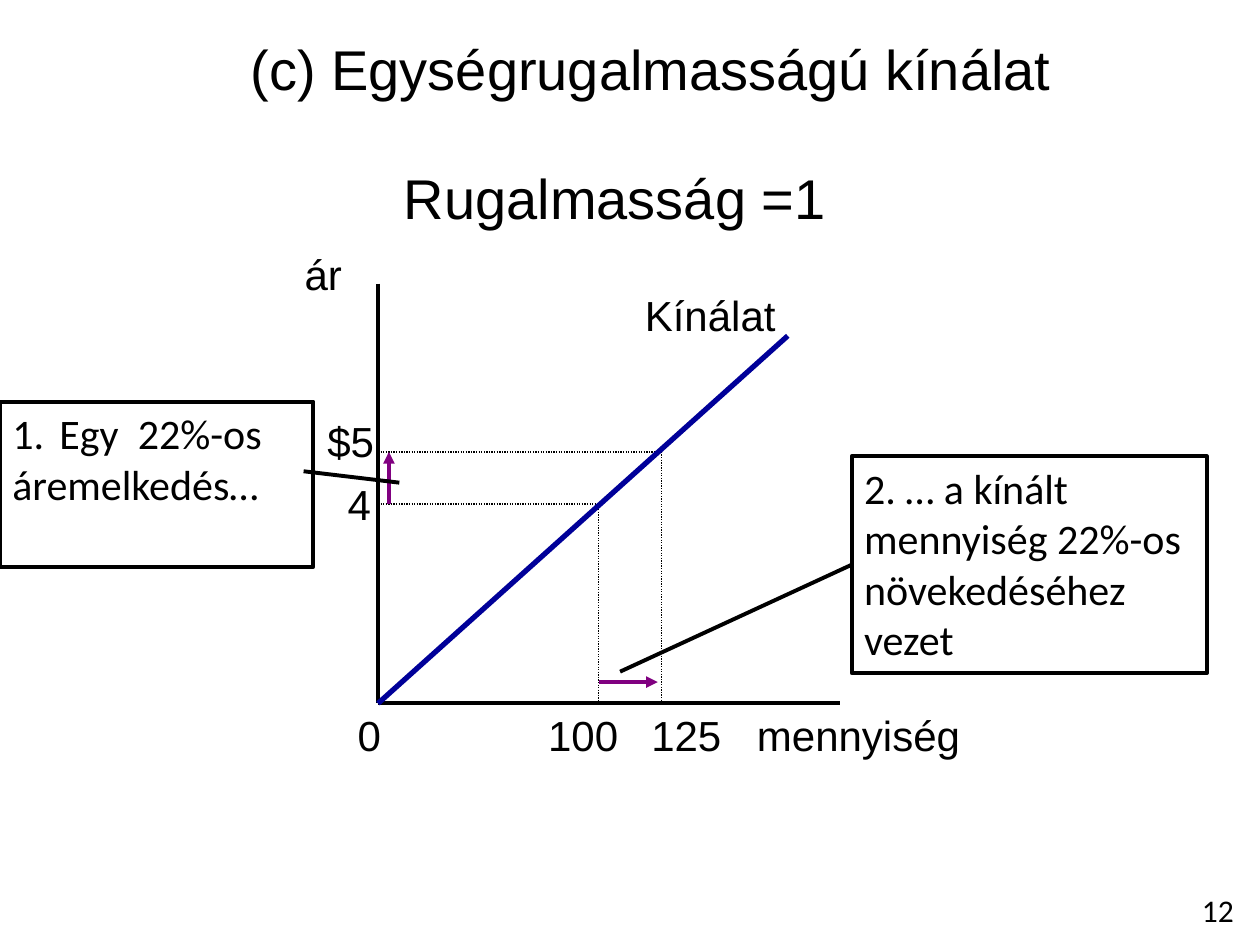
import dataclasses

import pptx
import pptx.dml.color
import pptx.enum.dml
import pptx.enum.shapes
import pptx.enum.text
import pptx.oxml
import pptx.oxml.ns
import pptx.util

Cm = pptx.util.Cm
Pt = pptx.util.Pt
RGB = pptx.dml.color.RGBColor.from_string
ALIGN = pptx.enum.text.PP_ALIGN


@dataclasses.dataclass(frozen=True)
class Theme:
    ink: str = "000000"
    supply: str = "000099"
    change: str = "800080"
    graph_font: str = "Arial"
    note_font: str = "Calibri"
    heading: int = 32
    label: int = 24
    page: int = 18


theme = Theme()


def write(shape, text, font, size, align=ALIGN.LEFT, wrap=True):
    frame = shape.text_frame
    frame.text = text
    frame.word_wrap = wrap
    frame.vertical_anchor = pptx.enum.text.MSO_ANCHOR.TOP
    for paragraph in frame.paragraphs:
        paragraph.alignment = align
        for run in paragraph.runs:
            run.font.name = font
            run.font.size = Pt(size)
            run.font.color.rgb = RGB(theme.ink)


def draw_line(start, end, color=theme.ink, width=2.25, dotted=False, arrow=False):
    connector = slide.shapes.add_connector(
        pptx.enum.shapes.MSO_CONNECTOR.STRAIGHT,
        *(Cm(value) for value in (*start, *end)))
    connector.line.color.rgb = RGB(color)
    connector.line.width = Pt(width)
    if dotted:
        connector.line.dash_style = pptx.enum.dml.MSO_LINE.ROUND_DOT
    properties = connector.element.spPr
    if arrow:
        outline = properties.find(pptx.oxml.ns.qn("a:ln"))
        outline.append(pptx.oxml.parse_xml(
            f'<a:tailEnd {pptx.oxml.ns.nsdecls("a")} type="triangle"/>'))
    properties.append(pptx.oxml.parse_xml(
        f'<a:effectLst {pptx.oxml.ns.nsdecls("a")}/>'))
    return connector


presentation = pptx.Presentation()
presentation.slide_width = Cm(25.4)
presentation.slide_height = Cm(19.05)
slide = presentation.slides.add_slide(presentation.slide_layouts[5])

# Title
title = slide.shapes.title
title.left, title.top, title.width, title.height = Cm(0.85), Cm(0.64), Cm(24.55), Cm(1.48)
write(title, "(c) Egységrugalmasságú kínálat", theme.graph_font, theme.heading, ALIGN.CENTER)
title.text_frame.vertical_anchor = pptx.enum.text.MSO_ANCHOR.MIDDLE

# Subtitle and page number
for text, box, font, size in (
    ("Rugalmasság =1", (7.85, 3.18, 9.1, 1.62), theme.graph_font, theme.heading),
    ("12", (23.7, 17.83, 1.7, 1.02), theme.note_font, theme.page),
):
    textbox = slide.shapes.add_textbox(*(Cm(value) for value in box))
    write(textbox, text, font, size, ALIGN.CENTER)

# Graph positions
origin_x, origin_y = 7.62, 14.18
old_quantity, new_quantity = 12.07, 13.34
old_price, new_price = 10.16, 9.11

# Axes
draw_line((origin_x, 5.72), (origin_x, origin_y))
draw_line((origin_x, origin_y), (16.93, origin_y))

# Dotted guides from each point on the curve to both axes
for quantity, price in ((old_quantity, old_price), (new_quantity, new_price)):
    draw_line((origin_x, price), (quantity, price), width=0.75, dotted=True)
    draw_line((quantity, price), (quantity, origin_y), width=0.75, dotted=True)

# Supply curve
draw_line((origin_x, origin_y), (15.88, 6.77), theme.supply, 3)

# Price and quantity changes
draw_line((7.84, old_price), (7.84, new_price), theme.change, arrow=True)
draw_line((old_quantity, 13.75), (13.26, 13.75), theme.change, arrow=True)

# Graph labels
for text, left, top, width in (
    ("ár", 5.89, 4.88, 1.5),
    ("Kínálat", 12.75, 5.72, 3.18),
    ("$5", 6.35, 8.26, 1.47),
    ("4", 6.76, 9.53, 0.99),
    ("0", 6.96, origin_y, 0.99),
    ("100", 10.8, origin_y, 1.93),
    ("125", 12.88, origin_y, 1.93),
    ("mennyiség", 15.01, origin_y, 4.9),
):
    label = slide.shapes.add_textbox(Cm(left), Cm(top), Cm(width), Cm(1.28))
    write(label, text, theme.graph_font, theme.label, wrap=False)
    label.text_frame.auto_size = pptx.enum.text.MSO_AUTO_SIZE.SHAPE_TO_FIT_TEXT

# Callout boxes
callouts = []
for text, box in (
    ("Egy  22%-os\náremelkedés…", (0, 8.1, 6.32, 3.33)),
    ("2. … a kínált\nmennyiség 22%-os\nnövekedéséhez\nvezet", (17.17, 9.2, 7.16, 4.37)),
):
    callout = slide.shapes.add_shape(
        pptx.enum.shapes.MSO_SHAPE.RECTANGLE, *(Cm(value) for value in box))
    callout.shadow.inherit = False
    callout.fill.background()
    callout.line.color.rgb = RGB(theme.ink)
    callout.line.width = Pt(2.25)
    write(callout, text, theme.note_font, theme.label)
    callouts.append(callout)
price_callout, quantity_callout = callouts

# Automatic number on the first callout line
numbered = price_callout.text_frame.paragraphs[0].runs[0].font
paragraph_properties = price_callout.text_frame.paragraphs[0]._p.get_or_add_pPr()
paragraph_properties.set("marL", str(Cm(0.95)))
paragraph_properties.set("indent", str(-Cm(0.95)))
for bullet in ('<a:buFont {} typeface="+mj-lt"/>', '<a:buAutoNum {} type="arabicPeriod"/>'):
    paragraph_properties.append(
        pptx.oxml.parse_xml(bullet.format(pptx.oxml.ns.nsdecls("a"))))

# Callout pointers
draw_line((8.05, 9.73), (6.12, 9.5))
pointer = draw_line((12.5, 13.54), (17.17, 11.38))
pointer.end_connect(quantity_callout, 1)

presentation.save("out.pptx")
